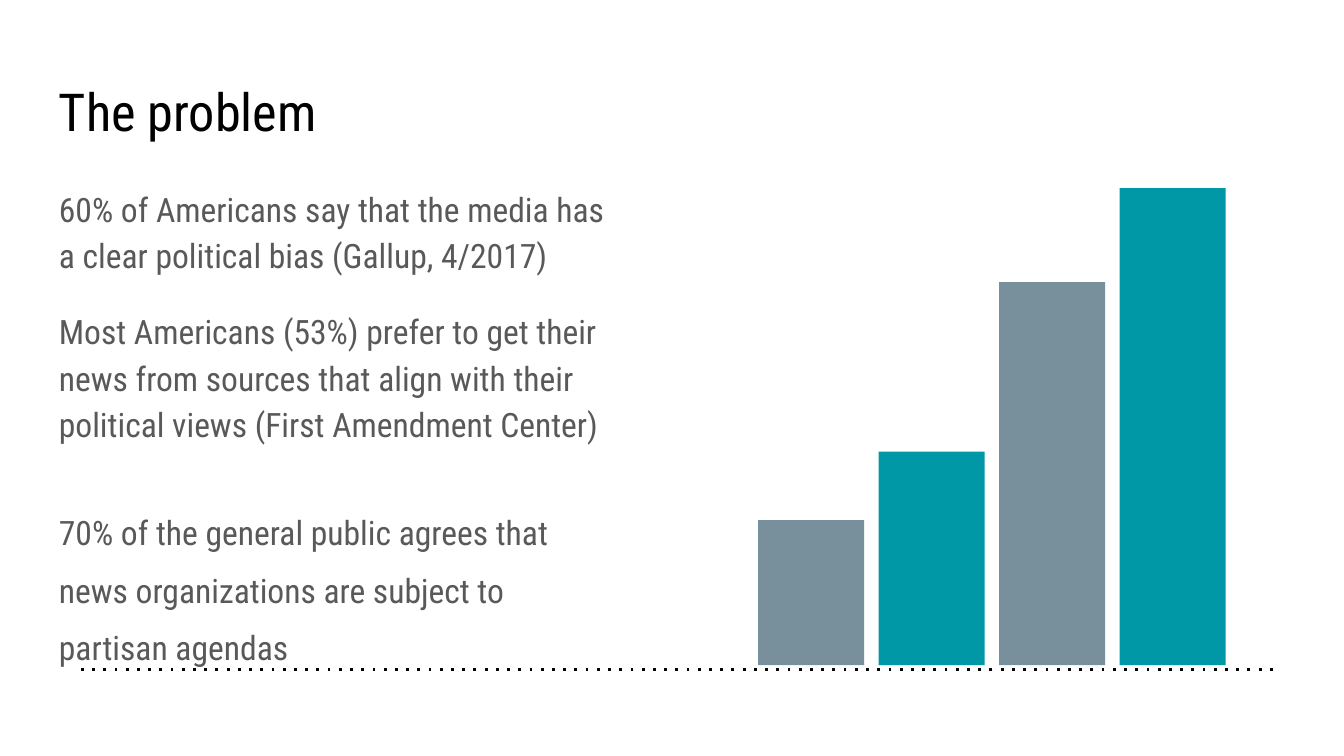
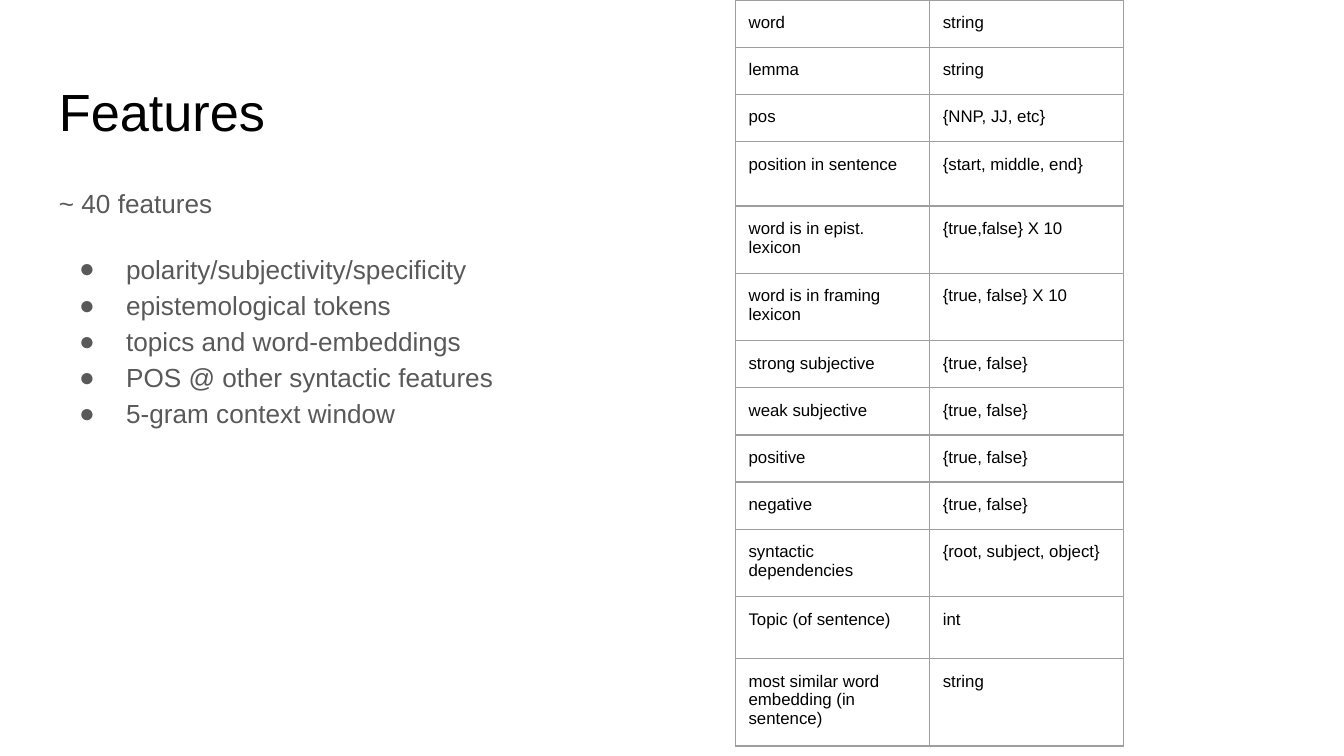
from lxml import etree
from pptx import Presentation
from pptx.dml.color import RGBColor
from pptx.enum.shapes import MSO_CONNECTOR, MSO_SHAPE
from pptx.enum.text import MSO_ANCHOR
from pptx.oxml.ns import qn
from pptx.util import Inches, Pt

RECT = MSO_SHAPE.RECTANGLE
STRAIGHT = MSO_CONNECTOR.STRAIGHT
TOP = MSO_ANCHOR.TOP

BLACK, BODY, WHITE = "000000", "595959", "FFFFFF"
SLATE, TEAL, RULE = "78909C", "0097A7", "9E9E9E"
SANS, SLIM = "Arial", "Roboto Condensed"
PAD = 0.1

FACTS = [
    ("60% of Americans say that the media has a clear political bias (Gallup, 4/2017)",
     {}),
    ("Most Americans (53%) prefer to get their news from sources that align with "
     "their political views (First Amendment Center)", {}),
    ("70% of the general public agrees that news organizations are subject to "
     "partisan agendas", {"lead": 1.43, "before": 11, "after": 15}),
]
POINTS = [
    ("~ 40 features", {}),
    ("polarity/subjectivity/specificity", {"dot": True, "after": 0}),
    ("epistemological tokens", {"dot": True, "after": 0}),
    ("topics and word-embeddings", {"dot": True, "after": 0}),
    ("POS @ other syntactic features", {"dot": True, "after": 0}),
    ("5-gram context window", {"dot": True}),
]
BARS = [1.08, 1.59, 2.85, 3.55]
ROWS = [
    ("word", "string", 0.31),
    ("lemma", "string", 0.31),
    ("pos", "{NNP, JJ, etc}", 0.31),
    ("position in sentence", "{start, middle, end}", 0.48),
    ("word is in epist. lexicon", "{true,false} X 10", 0.48),
    ("word is in framing lexicon", "{true, false} X 10", 0.48),
    ("strong subjective", "{true, false}", 0.31),
    ("weak subjective", "{true, false}", 0.31),
    ("positive", "{true, false}", 0.31),
    ("negative", "{true, false}", 0.31),
    ("syntactic dependencies", "{root, subject, object}", 0.48),
    ("Topic (of sentence)", "int", 0.46),
    ("most similar word embedding (in sentence)", "string", 0.48),
]


def tint(code):
    return RGBColor.from_string(code)


def style(par, face, size, code):
    for run in par.runs:
        run.font.name = face
        run.font.size = Pt(size)
        run.font.color.rgb = tint(code)


def pad(item):
    item.margin_left = item.margin_right = Inches(PAD)
    item.margin_top = item.margin_bottom = Inches(PAD)
    item.vertical_anchor = TOP


def add_box(slide, left, top, width, height):
    box = slide.shapes.add_textbox(
        Inches(left), Inches(top), Inches(width), Inches(height))
    frame = box.text_frame
    frame.word_wrap = True
    pad(frame)
    return frame


def add_page(deck, title, face):
    slide = deck.slides.add_slide(deck.slide_layouts[6])
    fill = slide.background.fill
    fill.solid()
    fill.fore_color.rgb = tint(WHITE)
    frame = add_box(slide, 0.34, 0.49, 9.32, 0.63)
    frame.text = title
    style(frame.paragraphs[0], face, 28, BLACK)
    return slide


def add_dot(par, face):
    props = par._p.get_or_add_pPr()
    props.set("marL", str(Inches(0.5)))
    props.set("indent", str(Inches(-0.35)))
    shade = etree.SubElement(props, qn("a:buClr"))
    etree.SubElement(shade, qn("a:srgbClr")).set("val", BODY)
    etree.SubElement(props, qn("a:buFont")).set("typeface", face)
    etree.SubElement(props, qn("a:buChar")).set("char", "●")


def add_body(slide, items, face, size):
    frame = add_box(slide, 0.34, 1.26, 4.37, 3.74)
    frame.text = "\n".join(text for text, _ in items)
    for par, (_, opts) in zip(frame.paragraphs, items):
        if opts.get("dot"):
            add_dot(par, face)
        par.line_spacing = opts.get("lead", 1.15)
        par.space_before = Pt(opts.get("before", 0))
        par.space_after = Pt(opts.get("after", 16))
        style(par, face, size, BODY)


def add_bars(slide, first, last, base, width):
    step = (last - first) / (len(BARS) - 1)
    for i, height in enumerate(BARS):
        bar = slide.shapes.add_shape(
            RECT, Inches(first + i * step), Inches(base - height),
            Inches(width), Inches(height))
        bar.shadow.inherit = False
        bar.fill.solid()
        bar.fill.fore_color.rgb = tint(TEAL if i % 2 else SLATE)
        bar.line.fill.background()


def add_axis(slide, start, end, y):
    axis = slide.shapes.add_connector(
        STRAIGHT, Inches(start), Inches(y), Inches(end), Inches(y))
    axis.line.width = Pt(1.5)
    axis.line.color.rgb = tint(BLACK)
    props = axis._element.spPr
    etree.SubElement(props.find(qn("a:ln")), qn("a:prstDash")).set("val", "dot")
    etree.SubElement(props, qn("a:effectLst"))


def add_edges(cell):
    props = cell._tc.get_or_add_tcPr()
    for i, side in enumerate(("lnL", "lnR", "lnT", "lnB")):
        edge = etree.Element(qn("a:" + side), w=str(Pt(0.75)))
        fill = etree.SubElement(edge, qn("a:solidFill"))
        etree.SubElement(fill, qn("a:srgbClr")).set("val", RULE)
        props.insert(i, edge)


def add_grid(slide, left, top, side, width):
    shape = slide.shapes.add_table(
        len(ROWS), 2, Inches(left), Inches(top), Inches(side), Inches(side))
    grid = shape.table
    grid.first_row = grid.horz_banding = False
    for col in grid.columns:
        col.width = Inches(width / 2)
    for i, (*texts, height) in enumerate(ROWS):
        grid.rows[i].height = Inches(height)
        for j, text in enumerate(texts):
            cell = grid.cell(i, j)
            cell.text = text
            pad(cell)
            cell.fill.background()
            add_edges(cell)
            par = cell.text_frame.paragraphs[0]
            par.line_spacing = 1.0
            style(par, SANS, 9, BLACK)
    shape.width = shape.height = Inches(side)


def main():
    deck = Presentation()
    deck.slide_width, deck.slide_height = Inches(10), Inches(10 * 9 / 16)

    slide = add_page(deck, "The problem", SLIM)
    add_body(slide, FACTS, SLIM, 18)
    add_bars(slide, 5.64, 8.33, 4.95, 0.79)
    add_axis(slide, 9.47, 0.56, 4.98)

    slide = add_page(deck, "Features", SANS)
    add_body(slide, POINTS, SANS, 14)
    add_grid(slide, 5.47, 0, 3.28, 2.89)

    deck.save("out.pptx")


if __name__ == "__main__":
    main()
